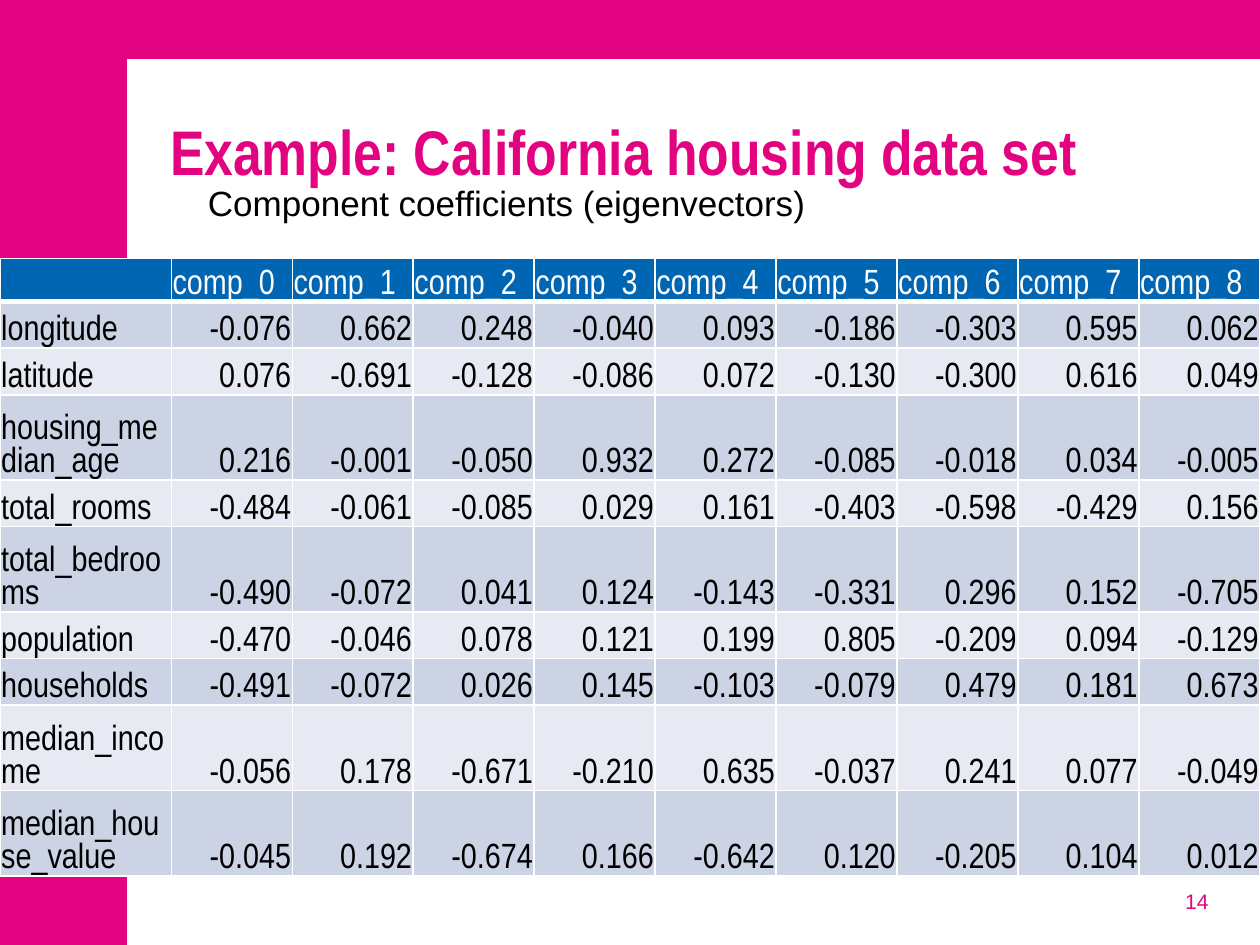
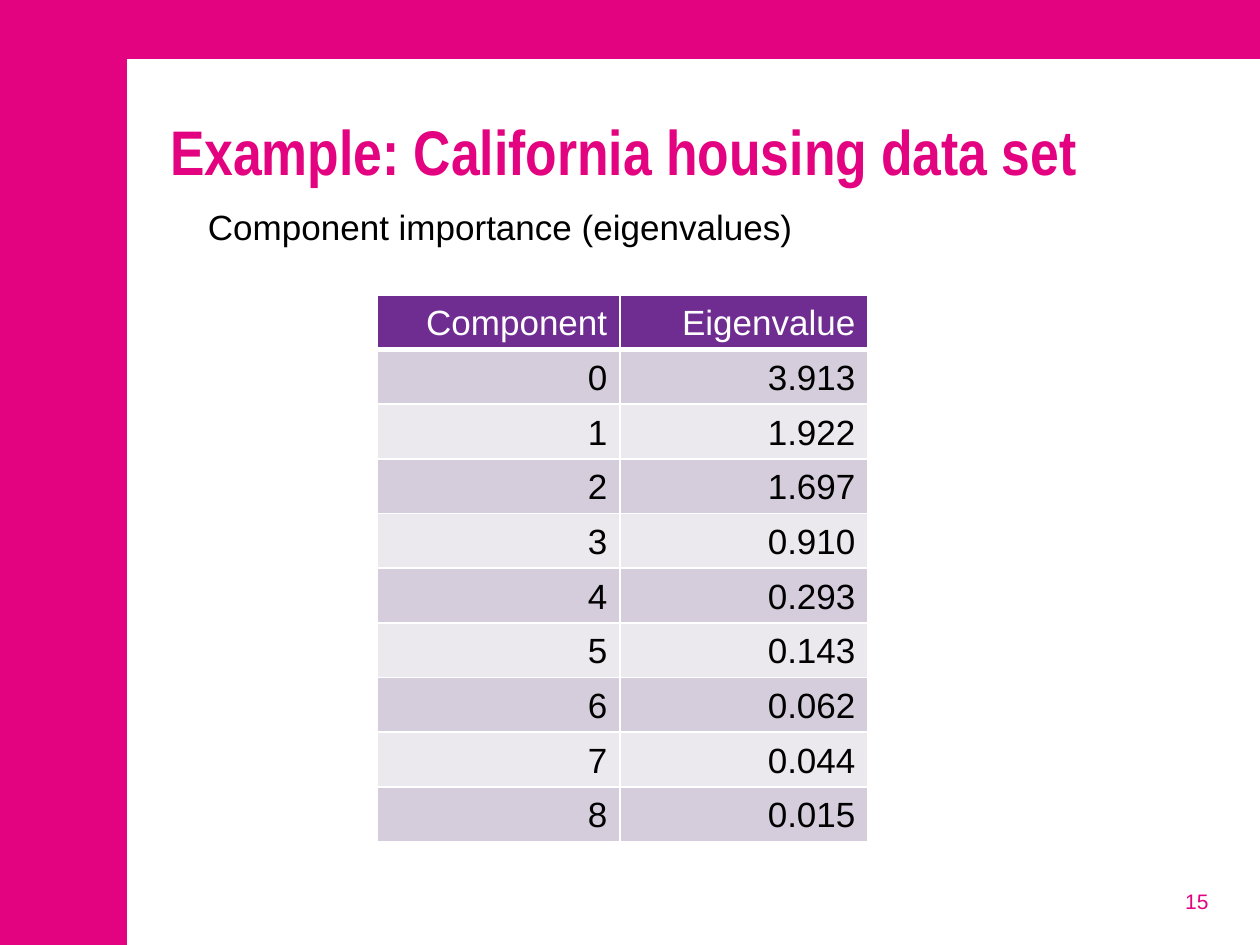
from lxml import etree
from pptx import Presentation
from pptx.dml.color import RGBColor
from pptx.enum import shapes, text
from pptx.oxml import ns
from pptx import util as u

PINK = RGBColor(0xE3, 0x02, 0x7F)
WHITE = RGBColor(0xFF, 0xFF, 0xFF)
BLACK = RGBColor(0x00, 0x00, 0x00)
# Header, odd row and even row fills
BLUES = (RGBColor(0x00, 0x66, 0xB3), RGBColor(0xCC, 0xD3, 0xE5),
         RGBColor(0xE7, 0xEA, 0xF2))
PURPLES = (RGBColor(0x6F, 0x2C, 0x91), RGBColor(0xD5, 0xCD, 0xDC),
           RGBColor(0xEB, 0xE8, 0xEE))

SANS, NARROW = "Arial", "Arial Narrow"
TITLE = "Example: California housing data set"
WIDTH, HEIGHT = 10, 7.5
RIGHT, BODY_BOTTOM = 9.69, 6.7

COEFFICIENTS = [
    ("longitude", "-0.076 0.662 0.248 -0.040 0.093 -0.186 -0.303 0.595 0.062"),
    ("latitude", "0.076 -0.691 -0.128 -0.086 0.072 -0.130 -0.300 0.616 0.049"),
    ("housing_median_age", "0.216 -0.001 -0.050 0.932 0.272 -0.085 -0.018 0.034 -0.005"),
    ("total_rooms", "-0.484 -0.061 -0.085 0.029 0.161 -0.403 -0.598 -0.429 0.156"),
    ("total_bedrooms", "-0.490 -0.072 0.041 0.124 -0.143 -0.331 0.296 0.152 -0.705"),
    ("population", "-0.470 -0.046 0.078 0.121 0.199 0.805 -0.209 0.094 -0.129"),
    ("households", "-0.491 -0.072 0.026 0.145 -0.103 -0.079 0.479 0.181 0.673"),
    ("median_income", "-0.056 0.178 -0.671 -0.210 0.635 -0.037 0.241 0.077 -0.049"),
    ("median_house_value", "-0.045 0.192 -0.674 0.166 -0.642 0.120 -0.205 0.104 0.012"),
]
EIGENVALUES = "3.913 1.922 1.697 0.910 0.293 0.143 0.062 0.044 0.015".split()


def place(sp, left, top, width, height):
    sp.left, sp.top = u.Inches(left), u.Inches(top)
    sp.width, sp.height = u.Inches(width), u.Inches(height)


def style(p, size, color, name=SANS, bold=False, align=text.PP_ALIGN.LEFT):
    p.alignment = align
    f = p.font
    f.size, f.name, f.bold = u.Pt(size), name, bold
    f.color.rgb = color


def set_up_master(prs, slide):
    """Pink ground with a white panel, shared by all slides."""
    master = prs.slide_master
    master.background.fill.solid()
    master.background.fill.fore_color.rgb = PINK
    left, top = 1.01, 0.47
    panel = slide.shapes.add_shape(
        shapes.MSO_SHAPE.RECTANGLE, u.Inches(left), u.Inches(top),
        u.Inches(WIDTH - left), u.Inches(HEIGHT - top))
    panel.shadow.inherit = False
    panel.fill.solid()
    panel.fill.fore_color.rgb = WHITE
    panel.line.fill.background()
    master.shapes[0]._element.addprevious(panel._element)


def add_heading(slide, subtitle, subtitle_top):
    # Title
    title = slide.shapes.title
    place(title, 1.25, 0.7, RIGHT - 1.25, 1.34)
    tf = title.text_frame
    tf.text = TITLE
    tf.vertical_anchor = text.MSO_ANCHOR.TOP
    tf.auto_size = text.MSO_AUTO_SIZE.NONE
    tf.margin_top = u.Inches(0.19)
    style(tf.paragraphs[0], 36, PINK, NARROW, bold=True)

    # Subtitle, without a bullet
    body = slide.placeholders[1]
    place(body, 1.55, subtitle_top, RIGHT - 1.55, BODY_BOTTOM - subtitle_top)
    tf = body.text_frame
    tf.text = subtitle
    tf.auto_size = text.MSO_AUTO_SIZE.NONE
    p = tf.paragraphs[0]
    p.level, p.line_spacing, p.space_before = 1, 0.9, u.Pt(4)
    style(p, 20, BLACK)
    pPr = p._p.get_or_add_pPr()
    pPr.set("marL", "0")
    pPr.set("indent", "0")
    pPr.find(ns.qn("a:defRPr")).addprevious(
        etree.Element(ns.qn("a:buNone")))


def add_page_number(slide, number):
    box = slide.shapes.add_textbox(0, 0, 0, 0)
    place(box, RIGHT - 2.33, 6.95, 2.33, 0.4)
    tf = box.text_frame
    tf.word_wrap = True
    tf.vertical_anchor = text.MSO_ANCHOR.MIDDLE
    tf.text = str(number)
    style(tf.paragraphs[0], 12, PINK, align=text.PP_ALIGN.RIGHT)


def set_borders(cell, top, bottom):
    tcPr = cell._tc.get_or_add_tcPr()
    widths = {"lnL": 1, "lnR": 1, "lnT": top, "lnB": bottom}
    for i, (side, width) in enumerate(widths.items()):
        ln = etree.Element(ns.qn(f"a:{side}"), w=str(u.Pt(width)))
        fill = etree.SubElement(ln, ns.qn("a:solidFill"))
        etree.SubElement(fill, ns.qn("a:srgbClr"), val=str(WHITE))
        tcPr.insert(i, ln)


def add_table(slide, left, top, cols, heights, rows, fills, font, is_left,
              margins=None):
    """Banded table; is_left(row, column) tells which cells align left."""
    frame = slide.shapes.add_table(
        len(rows), len(cols), u.Inches(left), u.Inches(top),
        u.Inches(sum(cols)), u.Inches(sum(heights)))
    table = frame.table
    for col, width in zip(table.columns, cols):
        col.width = u.Inches(width)
    for r, (values, height) in enumerate(zip(rows, heights)):
        table.rows[r].height = u.Inches(height)
        fill = fills[0] if r == 0 else fills[2 - r % 2]
        for c, value in enumerate(values):
            cell = table.cell(r, c)
            cell.text = value
            cell.vertical_anchor = text.MSO_ANCHOR.BOTTOM
            if margins:
                (cell.margin_left, cell.margin_top, cell.margin_right,
                 cell.margin_bottom) = map(u.Inches, margins)
            cell.fill.solid()
            cell.fill.fore_color.rgb = fill
            set_borders(cell, 3 if r == 1 else 1, 3 if r == 0 else 1)
            align = text.PP_ALIGN.LEFT if is_left(r, c) else text.PP_ALIGN.RIGHT
            style(cell.text_frame.paragraphs[0], 20,
                  BLACK if r else WHITE, font, align=align)


def add_coefficients(slide):
    rows = [[""] + [f"comp_{i}" for i in range(9)]]
    rows += [[name, *values.split()] for name, values in COEFFICIENTS]
    # Names too long for the first column take two lines
    heights = [0.31] + [0.62 if len(name) > 11 else 0.37
                        for name, _ in COEFFICIENTS]
    add_table(slide, 0, 2.05, [1.36] + [0.96] * 9, heights, rows, BLUES,
              NARROW, lambda r, c: r == 0 or c == 0, (0.01, 0.01, 0.01, 0))


def add_eigenvalues(slide):
    rows = [("Component", "Eigenvalue")]
    rows += [(str(i), value) for i, value in enumerate(EIGENVALUES)]
    add_table(slide, 2.99, 2.34, [1.93, 1.97], [0.41] * len(rows), rows,
              PURPLES, SANS, lambda r, c: False)


def main():
    prs = Presentation()
    prs.slide_width, prs.slide_height = u.Inches(WIDTH), u.Inches(HEIGHT)
    pages = [
        ("Component coefficients (eigenvectors)", 1.43, add_coefficients),
        ("Component importance (eigenvalues)", 1.62, add_eigenvalues),
    ]
    for number, (subtitle, top, add_content) in enumerate(pages, 14):
        slide = prs.slides.add_slide(prs.slide_layouts[1])
        if number == 14:
            set_up_master(prs, slide)
        add_page_number(slide, number)
        add_heading(slide, subtitle, top)
        add_content(slide)
    prs.save("out.pptx")


if __name__ == "__main__":
    main()
